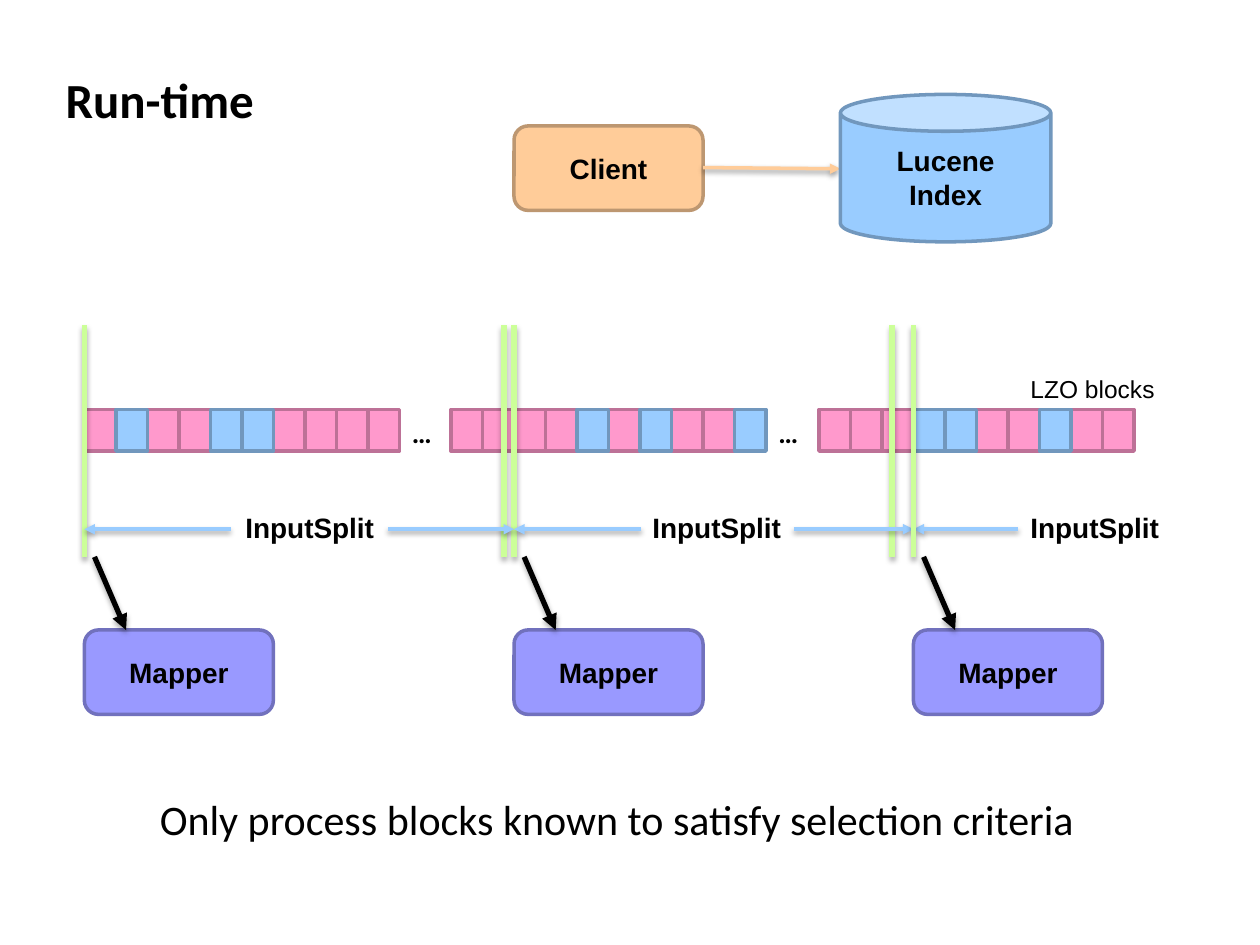
from dataclasses import dataclass

from lxml import etree
from pptx import Presentation
from pptx.dml.color import RGBColor
from pptx.enum.shapes import MSO_CONNECTOR, MSO_SHAPE
from pptx.enum.text import MSO_ANCHOR, MSO_AUTO_SIZE, PP_ALIGN
from pptx.oxml import parse_xml
from pptx.oxml.ns import nsdecls, qn
from pptx.util import Inches, Pt


@dataclass(frozen=True)
class Theme:
    text: str = "000000"
    boundary: str = "CCFF99"
    split: str = "99CCFF"
    request: str = "FFCC99"
    skipped: tuple = ("FF99CC", "BD7197")
    matching: tuple = ("99CCFF", "7197BD")
    mapper: tuple = ("9999FF", "7171BD")
    client: tuple = ("FFCC99", "BD9771")
    heading_font: str = "Calibri"
    label_font: str = "Arial"
    title_size: int = 28
    message_size: int = 24
    label_size: int = 16
    note_size: int = 14
    thin: int = 2
    thick: int = 3


THEME = Theme()

TITLE = "Run-time"
MESSAGE = "Only process blocks known to satisfy selection criteria"
BLOCK_ROWS = [(0.67, "PBPPBBPPPP"), (3.58, "PPPPBPBPPB"), (6.5, "PPPBBPPBPP")]
BLOCK_KINDS = {"P": THEME.skipped, "B": THEME.matching}
BLOCK_TOP, BLOCK_WIDTH, BLOCK_HEIGHT = 3.25, 0.25, 0.33
ELLIPSES = [3.17, 6.08]
BOUNDARIES = [0.67, 4, 7.08, 4.08]
LAST_BOUNDARY = 7.25
BOUNDARY_TOP, BOUNDARY_BOTTOM = 2.58, 4.42
SPLITS = [
    {"start": 0.67, "left_tail": 1.83, "label": 1.85, "right_tail": 3.08, "end": 4.08},
    {"start": 4.08, "left_tail": 5.09, "label": 5.08, "right_tail": 6.3, "end": 7.25},
    {"start": 7.25, "left_tail": 8.08, "label": 8.08},
]
SPLIT_Y, MAPPER_TOP = 4.2, 5
BOX_WIDTH, BOX_HEIGHT = 1.5, 0.67


def add_run(paragraph, text, size, font, bold):
    run = paragraph.add_run()
    run.text = text
    run.font.size = Pt(size)
    run.font.name = font
    run.font.bold = bold
    run.font.color.rgb = RGBColor.from_string(THEME.text)


def add_text(slide, box, text, size, font=THEME.label_font, bold=False):
    text_box = slide.shapes.add_textbox(*map(Inches, box))
    frame = text_box.text_frame
    frame.word_wrap = False
    frame.auto_size = MSO_AUTO_SIZE.SHAPE_TO_FIT_TEXT
    add_run(frame.paragraphs[0], text, size, font, bold)


def add_box(slide, preset, box, colors, lines=()):
    shape = slide.shapes.add_shape(preset, *map(Inches, box))
    fill, outline = colors
    shape.shadow.inherit = False
    shape.fill.solid()
    shape.fill.fore_color.rgb = RGBColor.from_string(fill)
    shape.line.color.rgb = RGBColor.from_string(outline)
    shape.line.width = Pt(THEME.thin)
    frame = shape.text_frame
    frame.vertical_anchor = MSO_ANCHOR.MIDDLE
    for index, text in enumerate(lines):
        paragraph = frame.add_paragraph() if index else frame.paragraphs[0]
        paragraph.alignment = PP_ALIGN.CENTER
        add_run(paragraph, text, THEME.label_size, THEME.label_font, True)


def add_line(slide, start, end, color, width, arrow=True):
    line = slide.shapes.add_connector(
        MSO_CONNECTOR.STRAIGHT, *map(Inches, (*start, *end)))
    line.line.color.rgb = RGBColor.from_string(color)
    line.line.width = Pt(width)
    properties = line._element.spPr
    if arrow:
        etree.SubElement(properties.find(qn("a:ln")), qn("a:tailEnd"), type="triangle")
    distance, opacity = (1.8, 35) if width == THEME.thick else (1.6, 38)
    properties.append(parse_xml(
        f'<a:effectLst {nsdecls("a")}><a:outerShdw blurRad="{Pt(3.1)}" '
        f'dist="{Pt(distance)}" dir="5400000" rotWithShape="0">'
        f'<a:srgbClr val="000000"><a:alpha val="{opacity * 1000}"/></a:srgbClr>'
        f'</a:outerShdw></a:effectLst>'))


def add_blocks(slide, kind):
    for left, row in BLOCK_ROWS:
        for index, block in enumerate(row):
            if block == kind:
                box = (left + index * BLOCK_WIDTH, BLOCK_TOP, BLOCK_WIDTH, BLOCK_HEIGHT)
                add_box(slide, MSO_SHAPE.RECTANGLE, box, BLOCK_KINDS[kind])


def add_boundary(slide, x):
    add_line(slide, (x, BOUNDARY_TOP), (x, BOUNDARY_BOTTOM),
             THEME.boundary, THEME.thick, arrow=False)


def add_split(slide, split):
    start = split["start"]
    add_line(slide, (split["left_tail"], SPLIT_Y), (start, SPLIT_Y),
             THEME.split, THEME.thin)
    if "end" in split:
        add_line(slide, (split["right_tail"], SPLIT_Y), (split["end"], SPLIT_Y),
                 THEME.split, THEME.thin)
    add_text(slide, (split["label"], 4, 1.24, 0.37), "InputSplit",
             THEME.label_size, bold=True)
    add_box(slide, MSO_SHAPE.ROUNDED_RECTANGLE,
            (start, MAPPER_TOP, BOX_WIDTH, BOX_HEIGHT), THEME.mapper, ["Mapper"])
    add_line(slide, (start + 0.08, BOUNDARY_BOTTOM), (start + 0.33, MAPPER_TOP),
             THEME.text, THEME.thick)


def add_title(slide):
    title = slide.shapes.title
    title.left, title.top, title.width, title.height = map(
        Inches, (0.42, 0.5, 2.12, 0.57))
    frame = title.text_frame
    frame.word_wrap = False
    frame.auto_size = MSO_AUTO_SIZE.NONE
    frame.vertical_anchor = MSO_ANCHOR.TOP
    frame.paragraphs[0].alignment = PP_ALIGN.LEFT
    add_run(frame.paragraphs[0], TITLE, THEME.title_size, THEME.heading_font, True)


def main():
    presentation = Presentation()
    presentation.slide_width, presentation.slide_height = Inches(10), Inches(7.5)
    slide = presentation.slides.add_slide(presentation.slide_layouts[5])

    add_title(slide)
    add_blocks(slide, "P")
    for left in ELLIPSES:
        add_text(slide, (left, BLOCK_TOP, 0.43, 0.37), "…",
                 THEME.label_size, THEME.heading_font, True)
    for x in BOUNDARIES:
        add_boundary(slide, x)
    for split in SPLITS:
        add_split(slide, split)

    add_box(slide, MSO_SHAPE.ROUNDED_RECTANGLE, (4.08, 1, BOX_WIDTH, BOX_HEIGHT),
            THEME.client, ["Client"])
    add_line(slide, (5.58, 1.33), (6.67, 1.34), THEME.request, THEME.thin)
    add_box(slide, MSO_SHAPE.CAN, (6.67, 0.75, 1.67, 1.17),
            THEME.matching, ["Lucene", "Index"])
    add_text(slide, (8.08, 2.92, 1.19, 0.34), "LZO blocks", THEME.note_size)
    add_blocks(slide, "B")
    add_boundary(slide, LAST_BOUNDARY)
    add_text(slide, (1.17, 6.25, 7.66, 0.5), MESSAGE,
             THEME.message_size, THEME.heading_font)

    presentation.save("out.pptx")


if __name__ == "__main__":
    main()
